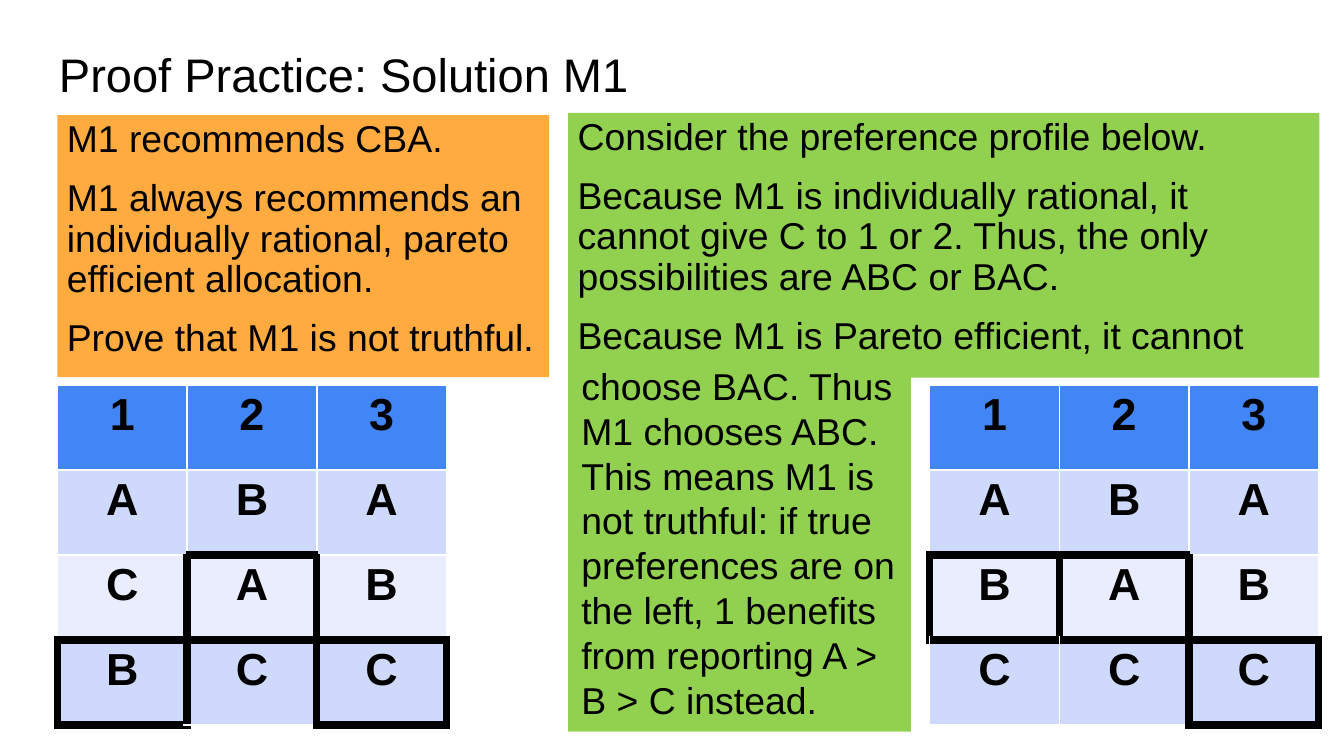
from lxml import etree
from pptx import Presentation
from pptx import util as u
from pptx.dml.color import RGBColor
from pptx.enum import shapes, text
from pptx.oxml.ns import qn

COLORS = {
    "ink": "000000", "white": "FFFFFF", "orange": "FFAB40", "green": "92D050",
    "header": "4285F4", "band": "CFD9FB", "pale": "E9EDFD",
}

deck = Presentation()
deck.slide_width = u.Inches(10)
deck.slide_height = deck.slide_width * 9 // 16
page = deck.slides.add_slide(deck.slide_layouts[6])
UNIT = deck.slide_width / 100  # square grid, 100 columns across the slide


def write(frame, lines, size=20, bold=False, align=text.PP_ALIGN.LEFT,
          anchor=text.MSO_ANCHOR.TOP, inset=(0.07, 0.04), spacing=1.0, before=0):
    frame.word_wrap = True
    frame.vertical_anchor = anchor
    frame.margin_left = frame.margin_right = u.Inches(inset[0])
    frame.margin_top = frame.margin_bottom = u.Inches(inset[1])
    for i, line in enumerate(lines):
        para = frame.paragraphs[0] if i == 0 else frame.add_paragraph()
        para.alignment, para.line_spacing = align, spacing
        para.space_before = u.Pt(before if i else 0)
        span = para.add_run()
        span.text = line
        span.font.name, span.font.size, span.font.bold = "Arial", u.Pt(size), bold
        span.font.color.rgb = RGBColor.from_string(COLORS["ink"])


def draw_border(cell, side, color, points):
    """Add one edge, where side is L, R, T or B; call in that order, before the fill."""
    props = cell._tc.get_or_add_tcPr()
    line = etree.SubElement(props, qn(f"a:ln{side}"), w=str(u.Pt(points)))
    fill = etree.SubElement(line, qn("a:solidFill"))
    etree.SubElement(fill, qn("a:srgbClr"), val=COLORS[color])


title = page.shapes.add_textbox(*(int(n * UNIT) for n in (3.4, 2.3, 93.2, 6.3)))
write(title.text_frame, ["Proof Practice: Solution M1"], size=25.2,
      anchor=text.MSO_ANCHOR.MIDDLE, inset=(0.1, 0.1))

# Preference tables: one column per agent, the allocated goods are outlined
tables = [
    (4.27, ["123", "ABA", "CAB", "BCC"], {(2, 1), (3, 0), (3, 2)}),
    (69.17, ["123", "ABA", "BAB", "CCC"], {(2, 0), (2, 1), (3, 2)}),
]
row_fills = ["header", "band", "pale", "band"]
neighbours = {"L": (0, -1), "R": (0, 1), "T": (-1, 0), "B": (1, 0)}
for left, rows, outlined in tables:
    place = (int(n * UNIT) for n in (left, 28.64, 28.95, 25.3))
    table = page.shapes.add_table(4, 3, *place).table
    for r, letters in enumerate(rows):
        for c, letter in enumerate(letters):
            cell = table.cell(r, c)
            write(cell.text_frame, [letter], size=24, bold=True,
                  align=text.PP_ALIGN.CENTER)
            cell.margin_left = cell.margin_right = u.Inches(0.07)
            cell.margin_top = cell.margin_bottom = u.Inches(0.04)
            for side, (down, across) in neighbours.items():
                if outlined & {(r, c), (r + down, c + across)}:
                    draw_border(cell, side, "ink", 4.5)
                elif r in (1, 2):  # the other rows keep the white lines of the style
                    draw_border(cell, side, "white", 1)
            cell.fill.solid()
            cell.fill.fore_color.rgb = RGBColor.from_string(COLORS[row_fills[r]])

airy = {"spacing": 0.9, "before": 10}
panels = [
    ((4.27, 8.57, 36.6, 19.5), "orange", airy, [
        "M1 recommends CBA.",
        "M1 always recommends an individually rational, pareto efficient allocation.",
        "Prove that M1 is not truthful."]),
    ((42.27, 8.4, 55.9, 19.7), "green", airy, [
        "Consider the preference profile below.",
        "Because M1 is individually rational, it cannot give C to 1 or 2. "
        "Thus, the only possibilities are ABC or BAC.",
        "Because M1 is Pareto efficient, it cannot"]),
    ((42.27, 26.53, 25.5, 27.9), "green", {"inset": (0.1, 0.05)}, [
        "choose BAC. Thus M1 chooses ABC.",
        "This means M1 is not truthful: if true preferences are on the left, "
        "1 benefits from reporting A > B > C instead."]),
]
for place, color, style, lines in panels:
    box = page.shapes.add_shape(shapes.MSO_SHAPE.RECTANGLE, *(int(n * UNIT) for n in place))
    box.shadow.inherit = False
    box.fill.solid()
    box.fill.fore_color.rgb = RGBColor.from_string(COLORS[color])
    box.line.fill.background()
    write(box.text_frame, lines, **style)

deck.save("out.pptx")
